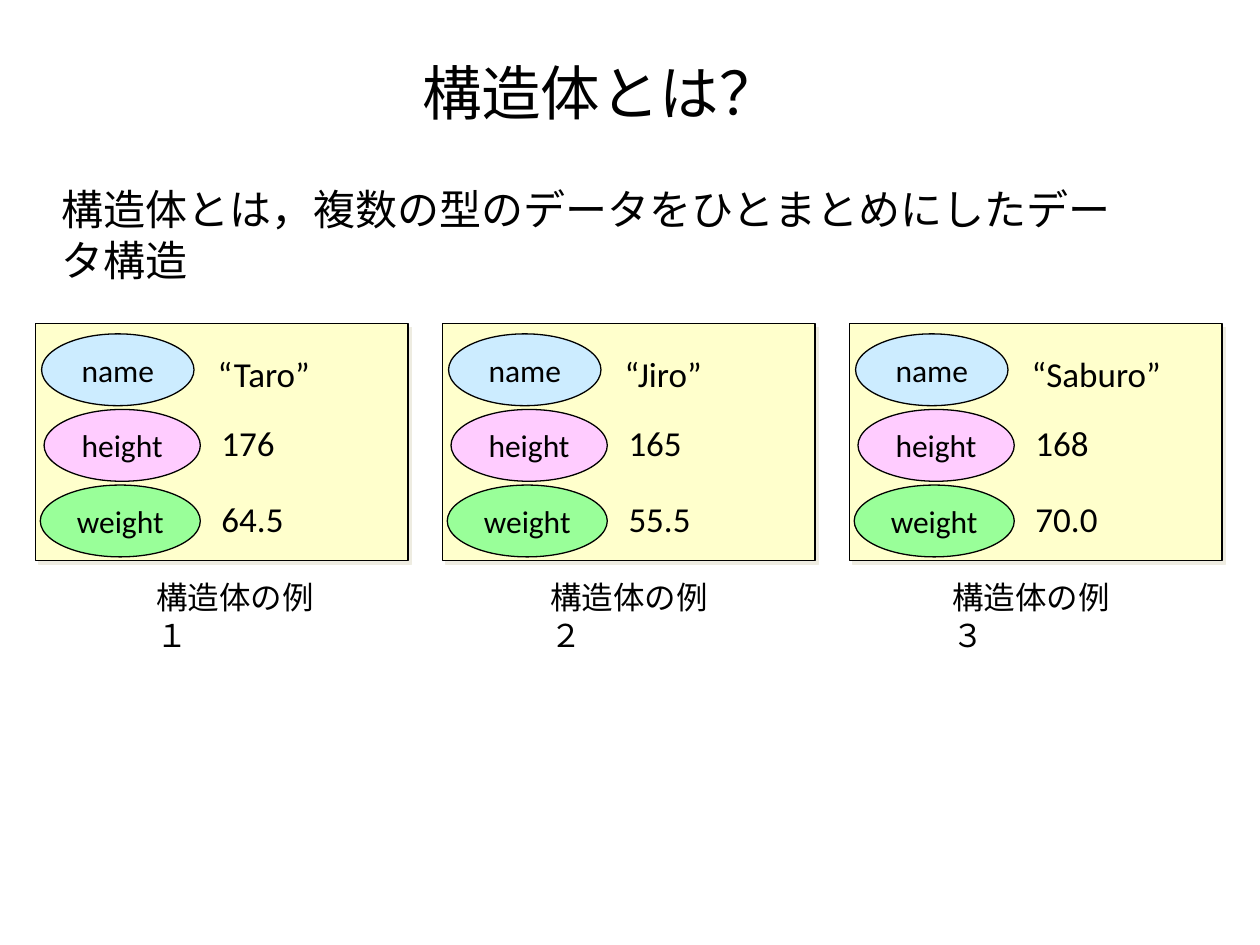
from dataclasses import dataclass

from lxml import etree
from pptx import Presentation
from pptx.dml.color import RGBColor
from pptx.enum import shapes, text
from pptx.oxml import ns
from pptx.util import Inches, Pt


@dataclass(frozen=True)
class Theme:
    font: str = "Calibri"
    ink: str = "000000"
    card: str = "FFFFCC"
    shadow: str = "EEECE1"
    name: str = "CCECFF"
    height: str = "FFCCFF"
    weight: str = "99FF99"
    title_size: int = 34
    body_size: int = 24
    value_size: int = 20
    label_size: int = 18


theme = Theme()


def write(sp, words, size, align=text.PP_ALIGN.LEFT):
    tf = sp.text_frame
    tf.word_wrap = True
    p = tf.paragraphs[0]
    p.text = words
    p.alignment = align
    p.font.name = theme.font
    p.font.size = Pt(size)
    p.font.color.rgb = RGBColor.from_string(theme.ink)


def add_outlined(parent, kind, box, fill):
    sp = parent.add_shape(kind, *map(Inches, box))
    sp.shadow.inherit = False
    sp.fill.solid()
    sp.fill.fore_color.rgb = RGBColor.from_string(fill)
    sp.line.color.rgb = RGBColor.from_string(theme.ink)
    sp.line.width = Pt(0.75)
    return sp


prs = Presentation()
prs.slide_width, prs.slide_height = Inches(10), Inches(7.5)
s = prs.slides.add_slide(prs.slide_layouts[5])

title = s.shapes.title
title.left, title.top = Inches(0.6), Inches(0.35)
title.width, title.height = Inches(8.33), Inches(0.75)
title.text_frame.vertical_anchor = text.MSO_ANCHOR.MIDDLE
write(title, "構造体とは？", theme.title_size, text.PP_ALIGN.CENTER)

definition = s.shapes.add_textbox(Inches(0.39), Inches(1.41), Inches(8.84), Inches(0.51))
write(definition, "構造体とは，複数の型のデータをひとまとめにしたデータ構造", theme.body_size)

# Field: name, colour, oval offset and width, value offset, value top
fields = [
    ("name", theme.name, 0.05, 1.21, 1.35, 2.75),
    ("height", theme.height, 0.07, 1.24, 1.38, 3.3),
    ("weight", theme.weight, 0.04, 1.27, 1.38, 3.9),
]
# Record: values, caption, caption left
records = [
    (("“Taro”", "176", "64.5"), "構造体の例１", 1.14),
    (("“Jiro”", "165", "55.5"), "構造体の例２", 4.27),
    (("“Saburo”", "168", "70.0"), "構造体の例３", 7.46),
]
first_left, card_pitch = 0.28, 3.23
oval_top, oval_pitch = 2.65, 0.6

for i, (values, caption, caption_left) in enumerate(records):
    left = first_left + i * card_pitch
    group = s.shapes.add_group_shape().shapes

    card = add_outlined(group, shapes.MSO_SHAPE.RECTANGLE, (left, 2.57, 2.96, 1.88), theme.card)
    effects = card._element.spPr.find(ns.qn("a:effectLst"))
    shadow = etree.SubElement(effects, ns.qn("a:outerShdw"), dist=str(Pt(2.8)),
                              dir=str(45 * 60000), algn="ctr", rotWithShape="0")
    etree.SubElement(shadow, ns.qn("a:srgbClr"), val=theme.shadow)

    for row, (field, value) in enumerate(zip(fields, values)):
        name, fill, offset, width, value_offset, value_top = field
        oval = add_outlined(group, shapes.MSO_SHAPE.OVAL,
                            (left + offset, oval_top + row * oval_pitch, width, 0.57), fill)
        tf = oval.text_frame
        tf.margin_left = tf.margin_right = tf.margin_top = tf.margin_bottom = 0
        tf.vertical_anchor = text.MSO_ANCHOR.MIDDLE
        write(oval, name, theme.label_size, text.PP_ALIGN.CENTER)

        value_box = group.add_textbox(Inches(left + value_offset), Inches(value_top),
                                      Inches(1.34), Inches(0.44))
        write(value_box, value, theme.value_size)

    caption_box = s.shapes.add_textbox(Inches(caption_left), Inches(4.54), Inches(1.64), Inches(0.4))
    write(caption_box, caption, theme.label_size)

prs.save("out.pptx")
